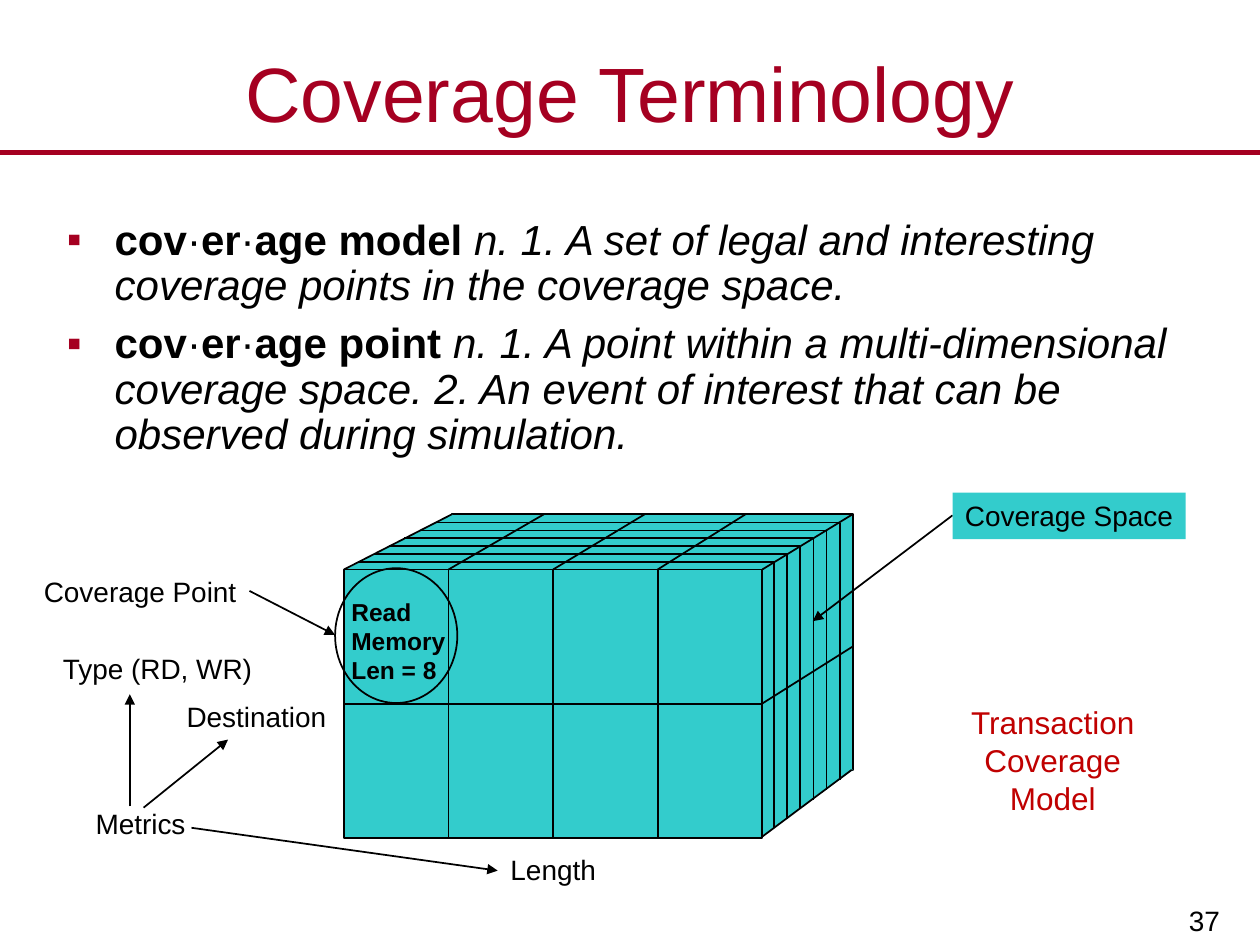
"""Build the Coverage Terminology slide on a grid of 100 columns by 75 rows."""
from dataclasses import dataclass

from lxml.etree import SubElement
from pptx import Presentation
from pptx.dml.color import RGBColor
from pptx.enum.shapes import MSO_CONNECTOR, MSO_SHAPE
from pptx.enum.text import MSO_ANCHOR, MSO_AUTO_SIZE, PP_ALIGN
from pptx.oxml.ns import qn
from pptx.util import Inches, Pt


@dataclass(frozen=True)
class Theme:
    font: str = "Arial"
    crimson: str = "A50021"
    red: str = "C00000"
    teal: str = "33CCCC"
    black: str = "000000"
    title: int = 44
    body: int = 24
    caption: int = 18
    label: int = 16
    cell: int = 14


theme = Theme()
prs = Presentation()
prs.slide_width, prs.slide_height = Inches(10), Inches(7.5)
COL, ROW = prs.slide_width / 100, prs.slide_height / 75
slide = prs.slides.add_slide(prs.slide_layouts[1])


def write(frame, *paragraphs, size=theme.label, color=theme.black, align=PP_ALIGN.LEFT,
          anchor=MSO_ANCHOR.TOP, bold=False, wrap=False, bullet=None, spacing=1.0, gap=0):
    frame.word_wrap = wrap
    frame.auto_size = MSO_AUTO_SIZE.NONE if wrap else MSO_AUTO_SIZE.SHAPE_TO_FIT_TEXT
    frame.vertical_anchor = anchor
    for index, runs in enumerate(paragraphs):
        paragraph = frame.add_paragraph() if index else frame.paragraphs[0]
        paragraph.alignment = align
        paragraph.line_spacing = spacing
        paragraph.space_before = Pt(gap if index else 0)
        if bullet:
            props = paragraph._p.get_or_add_pPr()
            props.set("marL", str(Inches(0.38)))
            props.set("indent", str(-Inches(0.38)))
            SubElement(SubElement(props, qn("a:buClr")), qn("a:srgbClr"), val=theme.crimson)
            SubElement(props, qn("a:buFont"), typeface=theme.font)
            SubElement(props, qn("a:buChar"), char=bullet)
        for text, strong, slanted in [(runs, bold, False)] if isinstance(runs, str) else runs:
            run = paragraph.add_run()
            run.text = text
            run.font.name, run.font.size = theme.font, Pt(size)
            run.font.bold, run.font.italic = strong, slanted
            run.font.color.rgb = RGBColor.from_string(color)


def place(kind, left, top, width, height, fill=None, line=None, flip=None):
    shape = slide.shapes.add_shape(kind, *(round(v) for v in (
        left * COL, top * ROW, width * COL, height * ROW)))
    shape.shadow.inherit = False
    for paint, color in ((shape.fill, fill), (shape.line.fill, line)):
        if color:
            paint.solid()
            paint.fore_color.rgb = RGBColor.from_string(color)
        else:
            paint.background()
    if line:
        shape.line.width = Pt(1)
    if flip:
        shape._element.spPr.xfrm.set(flip, "1")
    return shape


title, definitions = slide.placeholders
for holder, (left, top, width, height) in ((title, (0, 3, 100, 8.6)),
                                           (definitions, (4.3, 16.9, 91.1, 25.8))):
    holder.left, holder.top = round(left * COL), round(top * ROW)
    holder.width, holder.height = round(width * COL), round(height * ROW)

write(title.text_frame, "Coverage Terminology", size=theme.title, color=theme.crimson,
      align=PP_ALIGN.CENTER, anchor=MSO_ANCHOR.MIDDLE, wrap=True)
meanings = {
    "model": "n. 1. A set of legal and interesting coverage points in the coverage space.",
    "point": "n. 1. A point within a multi-dimensional coverage space. "
             "2. An event of interest that can be observed during simulation.",
}
write(definitions.text_frame,
      *([("cov", True, False), ("·", False, False), ("er", True, False), ("·", False, False),
         (f"age {term} ", True, False), (meaning, False, True)]
        for term, meaning in meanings.items()),
      size=theme.body, wrap=True, bullet="▪", spacing=0.9, gap=7.2)

place(MSO_SHAPE.RECTANGLE, 35.9, 40.8, 31.8, 20.3, theme.teal, theme.black)
place(MSO_SHAPE.RIGHT_TRIANGLE, 27.6, 40.9, 8.3, 4.3, theme.teal, theme.teal, "flipH")
place(MSO_SHAPE.RIGHT_TRIANGLE, 60.6, 61.1, 7, 5.1, theme.teal, theme.teal, "flipV")
place(MSO_SHAPE.RECTANGLE, 27.3, 45.2, 33.2, 21.3, theme.teal, theme.black)
place(MSO_SHAPE.OVAL, 26.6, 45.1, 9.7, 10.7, line=theme.black)

edges = [
    (27.3, 45.2, 35.9, 40.8), (60.5, 45.2, 67.7, 40.8), (60.5, 66.4, 67.6, 61.1),
    (27.3, 55.9, 60.5, 55.9), (60.4, 55.9, 67.7, 51.3),
]
for column in range(1, 4):
    front = 27.3 + 8.3 * column
    edges += [(front, 45.2, front, 66.5), (front, 45.2, front + 7.9 - 0.3 * column, 40.8)]
for layer in range(1, 7):
    side, depth = 60.4 + 1.04 * layer, 45.2 - 0.62 * layer
    edges += [(side, 66.5 - 0.76 * layer, side, depth),
              (27.3 + 1.2 * layer, depth, side, depth)]
arrows = [
    (11.4, 64.1, 18.1, 58.7), (15.2, 65.7, 39.5, 69.1), (75.6, 40.9, 64.5, 49.3),
    (19.8, 46.9, 26.6, 50.4), (10.3, 64, 10.3, 55.1),
]
strokes = [((0, 12.1, 100, 12.1), theme.crimson, 3, False)]
strokes += [(ends, theme.black, 1, False) for ends in edges]
strokes += [(ends, theme.black, 1, True) for ends in arrows]
for (x1, y1, x2, y2), color, weight, pointed in strokes:
    stroke = slide.shapes.add_connector(MSO_CONNECTOR.STRAIGHT, *(round(v) for v in (
        x1 * COL, y1 * ROW, x2 * COL, y2 * ROW)))
    stroke.line.color.rgb = RGBColor.from_string(color)
    stroke.line.width = Pt(weight)
    if pointed:
        SubElement(stroke.line._get_or_add_ln(), qn("a:tailEnd"), type="triangle")
    SubElement(stroke._element.spPr, qn("a:effectLst"))

space = place(MSO_SHAPE.RECTANGLE, 75.6, 39.1, 18.5, 3.7, theme.teal)
write(space.text_frame, "Coverage Space")

labels = [
    (["Destination"], (13.8, 55, 13.1, 3.7), dict(align=PP_ALIGN.CENTER)),
    (["Length"], (39.5, 67.2, 8.8, 3.7), dict(align=PP_ALIGN.CENTER)),
    (["Metrics"], (6.6, 63.5, 9.2, 3.7), {}),
    (["Coverage Point"], (2.5, 45.1, 17.3, 3.7), {}),
    (["Type (RD, WR)"], (3.9, 51.2, 17.2, 3.7), dict(align=PP_ALIGN.CENTER)),
    (["Read", "Memory", "Len = 8"], (26.9, 47.4, 10, 6.9),
     dict(size=theme.cell, bold=True, anchor=MSO_ANCHOR.MIDDLE, wrap=True)),
    (["Transaction Coverage Model"], (73.8, 55.3, 19.5, 10.1),
     dict(size=theme.caption, color=theme.red, align=PP_ALIGN.CENTER, wrap=True)),
    (["37"], (78, 69.3, 19.8, 5.6),
     dict(align=PP_ALIGN.RIGHT, anchor=MSO_ANCHOR.BOTTOM, wrap=True)),
]
for lines, (left, top, width, height), style in labels:
    label = slide.shapes.add_textbox(*(round(v) for v in (
        left * COL, top * ROW, width * COL, height * ROW)))
    write(label.text_frame, *lines, **style)

prs.save("out.pptx")
